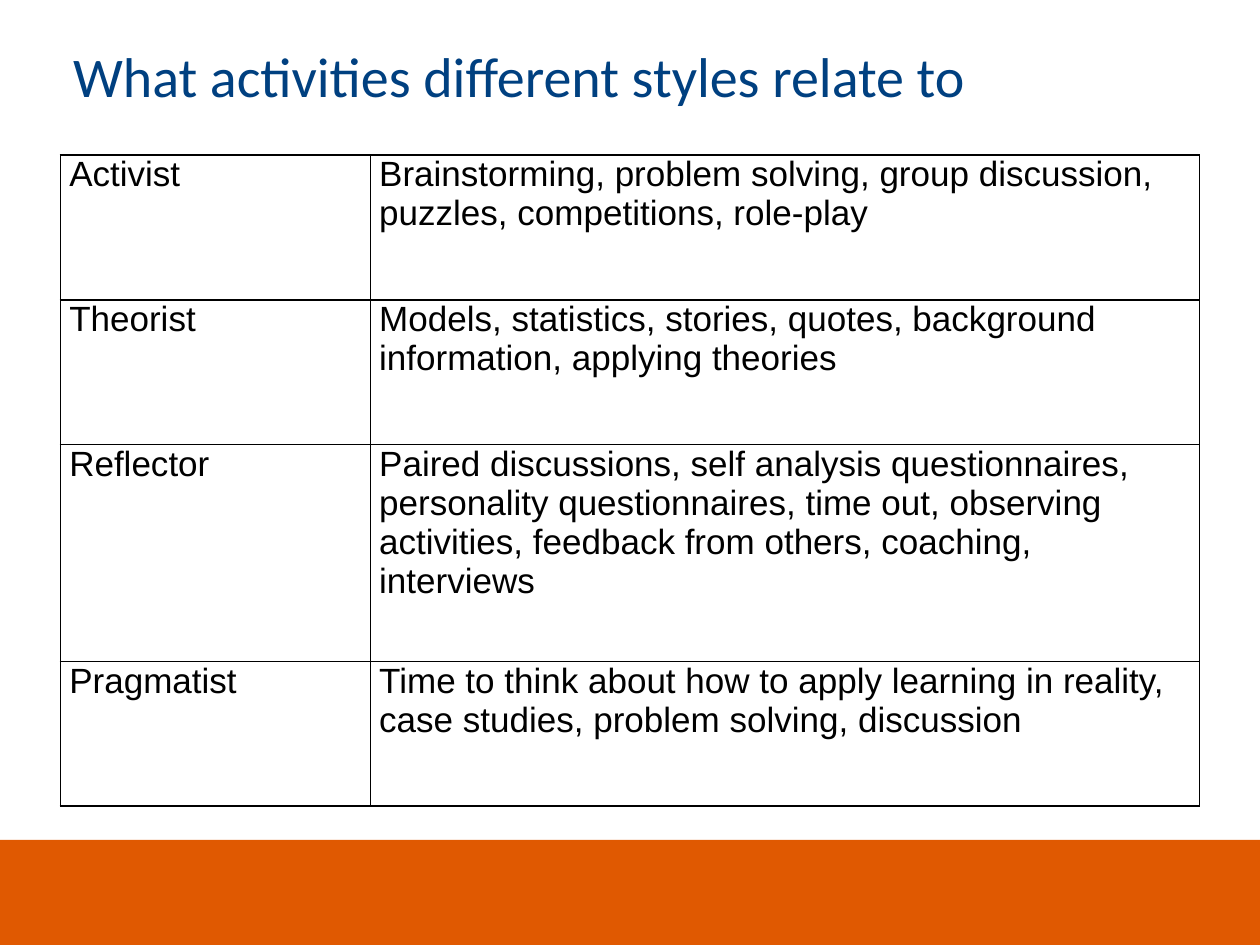
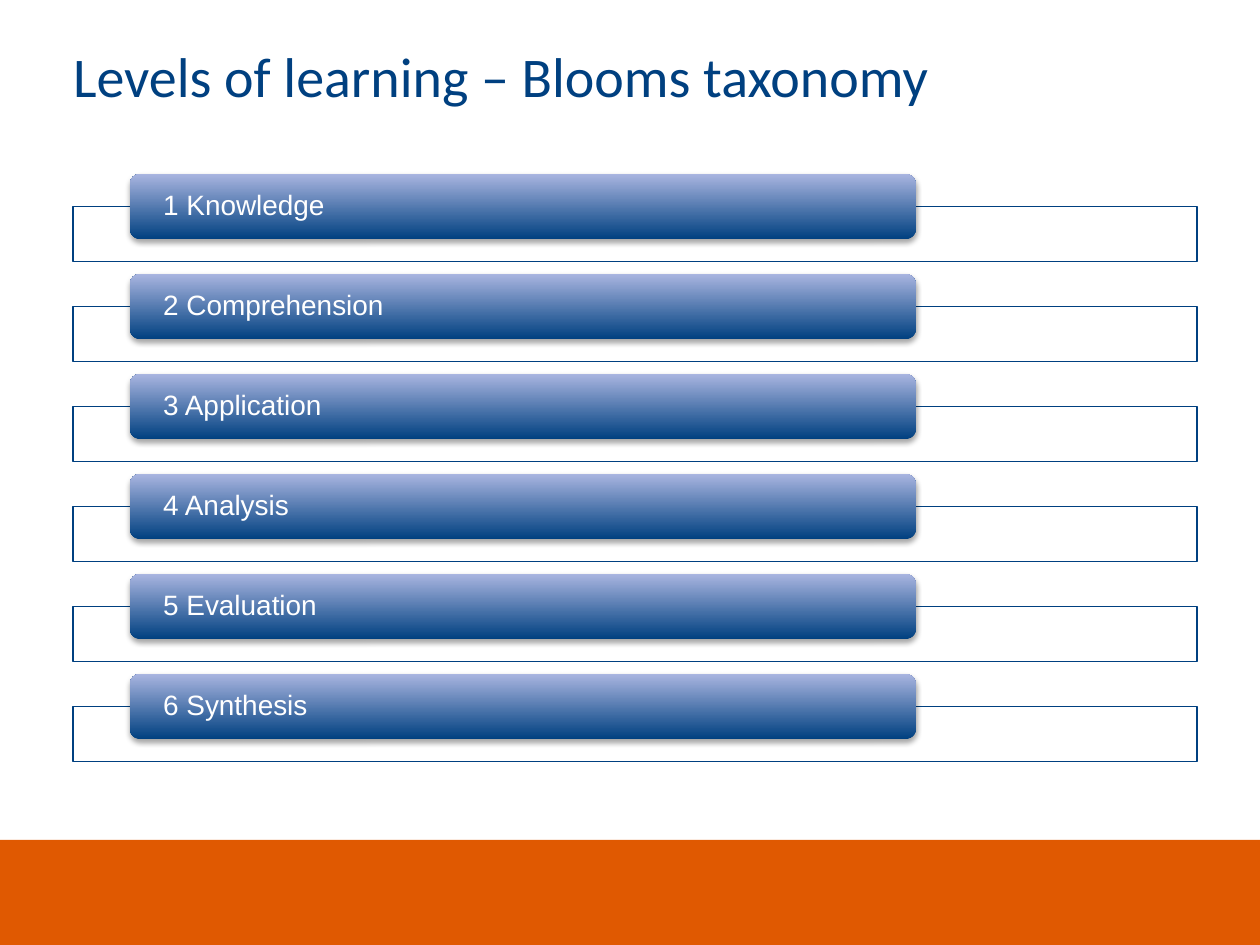
from lxml import etree
from pptx import Presentation
from pptx import util as u
from pptx.dml.color import RGBColor
from pptx.enum import shapes, text
from pptx.oxml import parse_xml
from pptx.oxml.ns import nsdecls, qn

color = RGBColor.from_string
BLUE, PALE_BLUE, ORANGE = "004080", "A9B5E0", "E05901"
BLACK, WHITE = "000000", "FFFFFF"

presentation = Presentation()
presentation.slide_width, presentation.slide_height = u.Inches(10), u.Inches(7.5)


def place(left, top, width, height):
    """Turn percentages of the slide into left, top, width and height."""
    column, row = presentation.slide_width / 100, presentation.slide_height / 100
    return [u.Emu(round(n)) for n in (left * column, top * row, width * column, height * row)]


def write(frame, words, size, font="Arial", ink=BLACK, anchor="TOP", inset=0.0,
          line_spacing=1.0, space_after=0):
    frame.word_wrap = True
    frame.margin_left = frame.margin_right = u.Inches(inset)
    frame.margin_top = frame.margin_bottom = 0
    frame.vertical_anchor = getattr(text.MSO_ANCHOR, anchor)
    frame.text = words
    paragraph = frame.paragraphs[0]
    paragraph.alignment = text.PP_ALIGN.LEFT
    paragraph.line_spacing = line_spacing
    paragraph.space_after = u.Pt(space_after)
    paragraph.font.name, paragraph.font.size = font, u.Pt(size)
    paragraph.font.color.rgb = color(ink)


# Slides with their titles
layout = presentation.slide_layouts[5]
slides = []
for heading in ("What activities different styles relate to",
                "Levels of learning – Blooms taxonomy"):
    slide = presentation.slides.add_slide(layout)
    title = slide.shapes.title
    title.left, title.top, title.width, title.height = place(5.8, 4.44, 89.2, 11.11)
    write(title.text_frame, heading, 32, font="Calibri", ink=BLUE)
    title.text_frame.auto_size = text.MSO_AUTO_SIZE.NONE
    slides.append(slide)
activities_slide, levels_slide = slides

# Orange band, moved to the layout so that both slides share it
band = activities_slide.shapes.add_shape(
    shapes.MSO_SHAPE.RECTANGLE, *place(0, 88.89, 100, 11.11))
band.shadow.inherit = False
band.fill.solid()
band.fill.fore_color.rgb = color(ORANGE)
band.line.fill.background()
layout.shapes.element.insert(2, band.element)

# Table of learning styles: name, activities, row height
styles = [
    ("Activist", "Brainstorming, problem solving, group discussion, puzzles, "
     "competitions, role-play", 15.33),
    ("Theorist", "Models, statistics, stories, quotes, background information, "
     "applying theories", 15.33),
    ("Reflector", "Paired discussions, self analysis questionnaires, personality "
     "questionnaires, time out, observing activities, feedback from others, coaching, "
     "interviews", 22.93),
    ("Pragmatist", "Time to think about how to apply learning in reality, case studies, "
     "problem solving, discussion", 15.33),
]
table_height = sum(share for _, _, share in styles)
table = activities_slide.shapes.add_table(
    len(styles), 2, *place(4.8, 16.4, 90.4, table_height)).table
table.first_row = table.horz_banding = False
for column, share in zip(table.columns, (24.6, 65.8)):
    column.width = place(0, 0, share, 0)[2]
for row, (name, activities, share) in zip(table.rows, styles):
    row.height = place(0, 0, 0, share)[3]
    for cell, words, space_after in zip(row.cells, (name, activities), (0, 9)):
        write(cell.text_frame, words, 20, space_after=space_after)
        cell.margin_left = cell.margin_right = u.Inches(0.07)
        cell.margin_top = cell.margin_bottom = 0
        cell.vertical_anchor = text.MSO_ANCHOR.TOP
        cell.fill.background()
        properties = cell._tc.get_or_add_tcPr()
        for position, side in enumerate("LRTB"):
            properties.insert(position, parse_xml(
                f'<a:ln{side} {nsdecls("a")} w="{u.Pt(1)}"><a:solidFill>'
                f'<a:srgbClr val="{BLACK}"/></a:solidFill></a:ln{side}>'))

# Levels of learning: an outlined frame behind a gradient pill
levels = ["Knowledge", "Comprehension", "Application", "Analysis", "Evaluation", "Synthesis"]
first_top, pitch, frame_drop = 18.4, 10.58, 3.43
for index, level in enumerate(levels):
    top = first_top + index * pitch

    frame = levels_slide.shapes.add_shape(
        shapes.MSO_SHAPE.RECTANGLE, *place(5.8, top + frame_drop, 89.2, 5.83))
    frame.shadow.inherit = False
    frame.fill.solid()
    frame.fill.fore_color.rgb = color(WHITE)
    fill_color = frame.element.spPr.find(qn("a:solidFill"))[0]
    etree.SubElement(fill_color, qn("a:alpha"), val="90000")
    frame.line.color.rgb = color(BLUE)
    frame.line.width = u.Pt(0.75)

    pill = levels_slide.shapes.add_shape(
        shapes.MSO_SHAPE.ROUNDED_RECTANGLE, *place(10.3, top, 62.4, 6.93))
    pill.line.fill.background()
    pill.fill.gradient()
    pill.fill.gradient_angle = 90
    for stop, position, shade in zip(pill.fill.gradient_stops, (0, 1), (BLUE, PALE_BLUE)):
        stop.position = position
        stop.color.rgb = color(shade)
    pill.element.spPr.append(parse_xml(
        f'<a:effectLst {nsdecls("a")}><a:outerShdw blurRad="{u.Pt(3.1)}" '
        f'dist="{u.Pt(1.8)}" dir="5400000" rotWithShape="0"><a:srgbClr val="{BLACK}">'
        '<a:alpha val="35000"/></a:srgbClr></a:outerShdw></a:effectLst>'))
    write(pill.text_frame, f"{index + 1} {level}", 16, ink=WHITE, anchor="MIDDLE",
          inset=0.24, line_spacing=0.9)

presentation.save("out.pptx")
